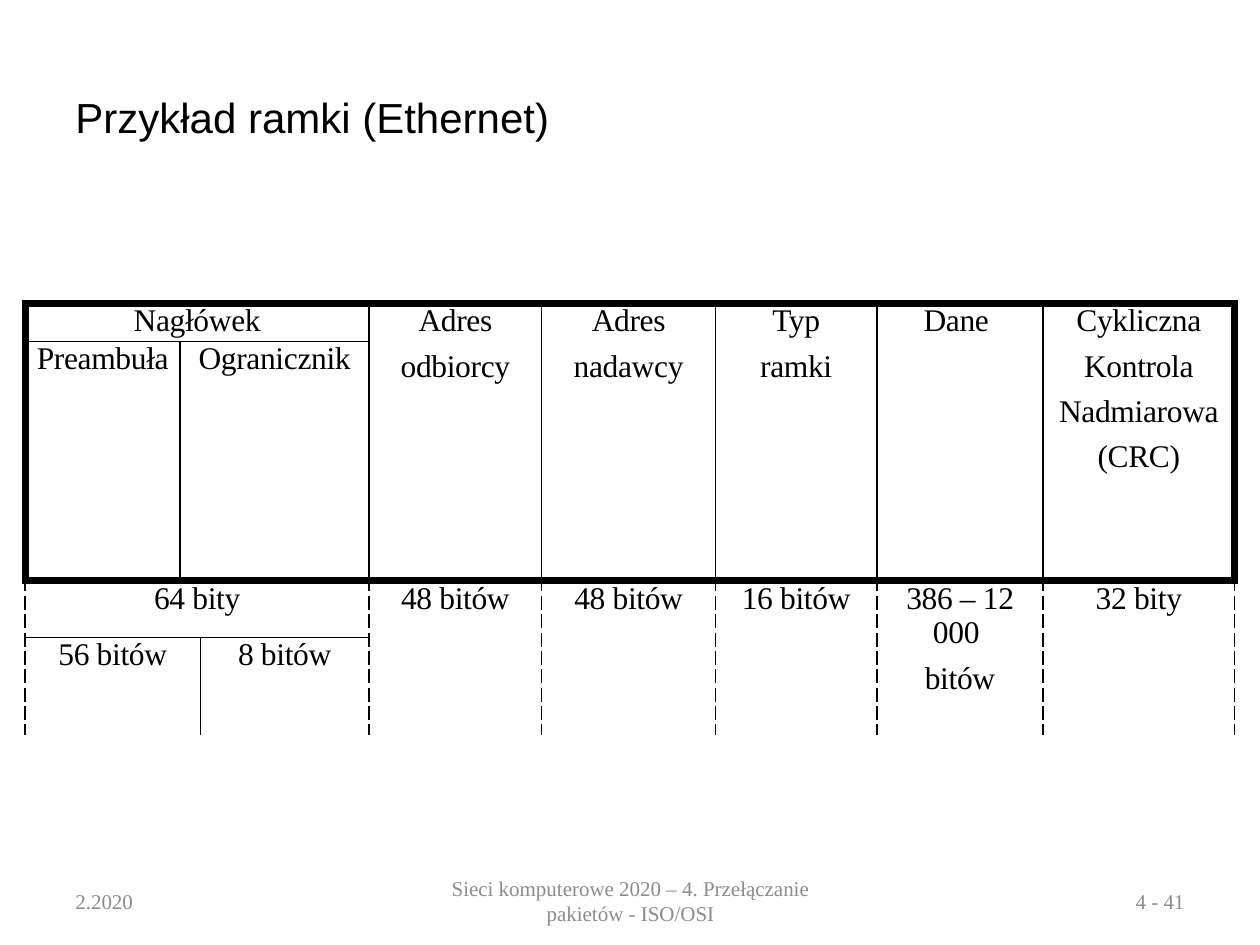
from lxml import etree
from pptx import Presentation
from pptx.dml.color import RGBColor
from pptx.enum.text import MSO_ANCHOR, PP_ALIGN
from pptx.oxml.ns import qn
from pptx.util import Inches, Pt

BLACK = RGBColor(0x00, 0x00, 0x00)
GRAY = RGBColor(0x8C, 0x8C, 0x8C)
LEFT, CENTER, RIGHT = PP_ALIGN.LEFT, PP_ALIGN.CENTER, PP_ALIGN.RIGHT
MIDDLE = MSO_ANCHOR.MIDDLE
SERIF = "Times New Roman"
THICK, THIN, DASH = (4.5, "solid"), (1, "solid"), (1, "dash")


def add_border(cell, side, style):
    tcPr = cell._tc.get_or_add_tcPr()
    ln = etree.SubElement(tcPr, qn("a:ln" + side))
    if style is None:
        etree.SubElement(ln, qn("a:noFill"))
        return
    width, dash = style
    ln.set("w", str(Pt(width)))
    fill = etree.SubElement(ln, qn("a:solidFill"))
    etree.SubElement(fill, qn("a:srgbClr")).set("val", str(BLACK))
    etree.SubElement(ln, qn("a:prstDash")).set("val", dash)


def format_text(tf, align, size, font, color):
    for p in tf.paragraphs:
        p.alignment = align
        for r in p.runs:
            r.font.size = Pt(size)
            r.font.name = font
            r.font.color.rgb = color


prs = Presentation()
prs.slide_width, prs.slide_height = Inches(10), Inches(7.5)
s = prs.slides.add_slide(prs.slide_layouts[6])

texts = [
    ("Przykład ramki (Ethernet)", 0.5, 0.3, 9, 1.25, LEFT, 24, "Arial", BLACK),
    ("Sieci komputerowe 2020 – 4. Przełączanie pakietów - ISO/OSI",
     3.42, 6.95, 3.17, 0.4, CENTER, 12, SERIF, GRAY),
    ("4 - 41", 7.17, 6.95, 2.33, 0.4, RIGHT, 12, SERIF, GRAY),
    ("2.2020", 0.5, 6.95, 2.33, 0.4, LEFT, 12, SERIF, GRAY),
]
for text, x, y, w, h, align, size, font, color in texts:
    tf = s.shapes.add_textbox(Inches(x), Inches(y), Inches(w), Inches(h)).text_frame
    tf.word_wrap = True
    tf.vertical_anchor = MIDDLE
    tf.text = text
    format_text(tf, align, size, font, color)

col_widths = [1.23, 0.16, 1.34, 1.37, 1.38, 1.28, 1.32, 1.52]
row_heights = [0.27, 1.9, 0.45, 0.77]
n_rows, n_cols = len(row_heights), len(col_widths)
table = s.shapes.add_table(
    n_rows, n_cols, Inches(0.2), Inches(2.41),
    Inches(sum(col_widths)), Inches(sum(row_heights))).table
table.first_row = False
table.horz_banding = False
for col, width in zip(table.columns, col_widths):
    col.width = Inches(width)
for row, height in zip(table.rows, row_heights):
    row.height = Inches(height)

fields = [
    (0, 0, 1, 3, "Nagłówek"),
    (1, 0, 1, 1, "Preambuła"),
    (1, 1, 1, 2, "Ogranicznik"),
    (2, 0, 1, 3, "64 bity"),
    (3, 0, 1, 2, "56 bitów"),
    (3, 2, 1, 1, "8 bitów"),
]
columns = [
    ("Adres\nodbiorcy", "48 bitów"),
    ("Adres\nnadawcy", "48 bitów"),
    ("Typ\nramki", "16 bitów"),
    ("Dane ", "386 – 12 000 \nbitów"),
    ("Cykliczna\nKontrola\nNadmiarowa\n(CRC)", "32 bity"),
]
for c, (name, bits) in enumerate(columns, 3):
    fields += [(0, c, 2, 1, name), (2, c, 2, 1, bits)]

h_lines = [THICK, THIN, THICK, THIN, None]
for top, left, n_down, n_across, text in fields:
    bottom, right = top + n_down, left + n_across
    cell = table.cell(top, left)
    if n_down * n_across > 1:
        cell.merge(table.cell(bottom - 1, right - 1))
    cell.margin_left = cell.margin_right = Inches(0.05)
    cell.margin_top = cell.margin_bottom = 0
    tf = cell.text_frame
    tf.text = text
    format_text(tf, CENTER, 18, SERIF, BLACK)
    for p in tf.paragraphs:
        p.space_after = Pt(6)
        for r in p.runs:
            r.font._element.set("spc", "-20")

    v_lines = []
    for edge in (left, right):
        if top < 2:
            v_lines.append(THICK if edge in (0, n_cols) else THIN)
        else:
            v_lines.append(THIN if edge == 2 else DASH)
    for i in range(top, bottom):
        for j in range(left, right):
            part = table.cell(i, j)
            add_border(part, "L", v_lines[0] if j == left else None)
            add_border(part, "R", v_lines[1] if j == right - 1 else None)
            add_border(part, "T", h_lines[top] if i == top else None)
            add_border(part, "B", h_lines[bottom] if i == bottom - 1 else None)
            part.fill.background()

prs.save("out.pptx")
